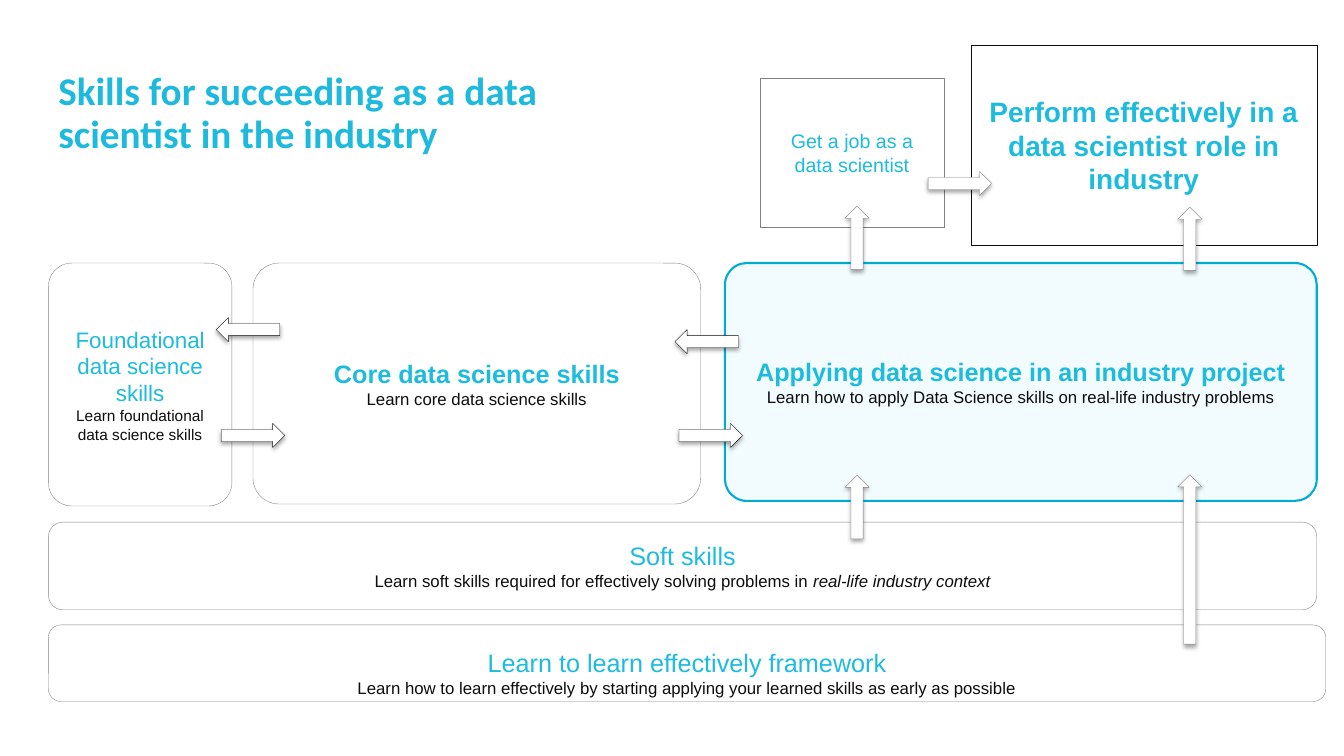
import pptx
import pptx.util
import pptx.dml.color
import pptx.enum.shapes
import pptx.enum.text
import pptx.oxml
import pptx.oxml.ns

Inches = pptx.util.Inches
Pt = pptx.util.Pt
KIND = pptx.enum.shapes.MSO_SHAPE
ALIGN = pptx.enum.text.PP_ALIGN
MIDDLE = pptx.enum.text.MSO_ANCHOR.MIDDLE

HUES = {"title": "1EBADD", "head": "1DBBDD", "ink": "0D0D0D", "grey": "808080",
        "white": "FFFFFF", "tint": "13C4EB", "edge": "00ACD4"}

# Content
TITLE = "Skills for succeeding as a data scientist in the industry"
LEFT, RIGHT, ROW = 0.48, 13.06, 2.61
WIDE = RIGHT - LEFT


def head(text, size, bold=False):
    return [(text, {"size": size, "bold": bold}, "head")]


def note(text, size=12, tail=""):
    runs = [(text, {"size": size}, "ink")]
    return runs + ([(tail, {"size": size, "italic": True}, "ink")] if tail else [])


# Place, corner radius (0 is square, None is the default), line, text lines
BOXES = {
    "perform": ((9.63, 0.45, 3.43, 1.98), 0, "ink", [
        head("Perform effectively in a data scientist role in industry", 20, True)]),
    "job": ((7.54, 0.78, 1.82, 1.47), 0, "grey", [
        head("Get a job as a data scientist", 14)]),
    "apply": ((7.19, ROW, 5.87, 2.36), 0.092, "edge", [
        head("Applying data science in an industry project", 18, True),
        note("Learn how to apply Data Science skills on real-life industry problems")]),
    "core": ((2.51, ROW, 4.44, 2.39), 0.108, "grey", [
        head("Core data science skills", 18, True),
        note("Learn core data science skills")]),
    "base": ((LEFT, ROW, 1.82, 2.41), 0.128, "grey", [
        head("Foundational data science skills", 16),
        note("Learn foundational data science skills", 11)]),
    "soft": ((LEFT, 5.18, WIDE, 0.87), None, "grey", [
        head("Soft skills", 18),
        note("Learn soft skills required for effectively solving problems in ",
             tail="real-life industry context")]),
    "learn": ((LEFT, 6.2, 12.67, 0.76), None, "grey", [
        head("Learn to learn effectively framework", 18),
        note("Learn how to learn effectively by starting applying your learned "
             "skills as early as possible")]),
}

# Arrows: centre x, centre y, length, direction, line
THICK, SHORT, LONG = 0.24, 0.63, 1.68
TURN = {"up": 180, "right": 270, "left": 90}
JOBX, ROLEX, LOWY = 8.5, 11.8, 4.32
ARROWS = [
    (JOBX, 2.36, SHORT, "up", "grey"),
    (ROLEX, 2.37, SHORT, "up", "grey"),
    (7.05, LOWY, SHORT, "right", "ink"),
    (9.52, 1.82, SHORT, "right", "grey"),
    (JOBX, 5.03, SHORT, "up", "grey"),
    (ROLEX, 5.55, LONG, "up", "grey"),
    (7.01, 3.39, SHORT, "left", "ink"),
    (2.51, LOWY, SHORT, "right", "ink"),
    (2.46, 3.27, SHORT, "left", "ink"),
]
SHADOW = ('<a:outerShdw %s blurRad="38100" dist="22860" dir="5400000" rotWithShape="0">'
          '<a:srgbClr val="000000"><a:alpha val="35000"/></a:srgbClr></a:outerShdw>'
          % pptx.oxml.ns.nsdecls("a"))

deck = pptx.Presentation()
deck.slide_width, deck.slide_height = Inches(13.33), Inches(7.5)
slide = deck.slides.add_slide(deck.slide_layouts[6])


def hue(name):
    return pptx.dml.color.RGBColor.from_string(HUES[name])


def draw(kind, place, line, width=0.25, fill="white"):
    shape = slide.shapes.add_shape(kind, *map(Inches, place))
    shape.shadow.inherit = False
    shape.fill.solid()
    shape.fill.fore_color.rgb = hue(fill)
    shape.line.color.rgb = hue(line)
    shape.line.width = Pt(width)
    return shape


def style(run, form, color, face="Arial"):
    for key, value in {"name": face, **form}.items():
        setattr(run.font, key, Pt(value) if key == "size" else value)
    run.font.color.rgb = hue(color)


def write(frame, lines):
    frame.word_wrap, frame.vertical_anchor = True, MIDDLE
    for i, runs in enumerate(lines):
        para = frame.add_paragraph() if i else frame.paragraphs[0]
        para.alignment = ALIGN.CENTER
        for text, form, color in runs:
            run = para.add_run()
            run.text = text
            style(run, form, color)


# Title
frame = slide.shapes.add_textbox(*map(Inches, (LEFT, 0.41, 5.23, 1.45))).text_frame
frame.word_wrap, frame.vertical_anchor = True, MIDDLE
para = frame.paragraphs[0]
para.line_spacing = 0.9
run = para.add_run()
run.text = TITLE
style(run, {"size": 28, "bold": True}, "title", "Calibri")

# Boxes
for name, (place, curve, line, lines) in BOXES.items():
    main = name == "apply"
    kind = KIND.RECTANGLE if curve == 0 else KIND.ROUNDED_RECTANGLE
    box = draw(kind, place, line, 1.5 if main else 0.25, "tint" if main else "white")
    if curve:
        box.adjustments[0] = curve
    if main:
        color = box.fill._xPr.find(".//" + pptx.oxml.ns.qn("a:srgbClr"))
        color.append(pptx.oxml.parse_xml(
            '<a:alpha %s val="5000"/>' % pptx.oxml.ns.nsdecls("a")))
    write(box.text_frame, lines)
    if name == "learn":
        box.text_frame.margin_top = Inches(0.24)

# Arrows
for x, y, size, way, line in ARROWS:
    arrow = draw(KIND.DOWN_ARROW, (x - THICK / 2, y - size / 2, THICK, size), line)
    arrow.rotation = TURN[way]
    glow = arrow._element.spPr.find(pptx.oxml.ns.qn("a:effectLst"))
    glow.append(pptx.oxml.parse_xml(SHADOW))

deck.save("out.pptx")
